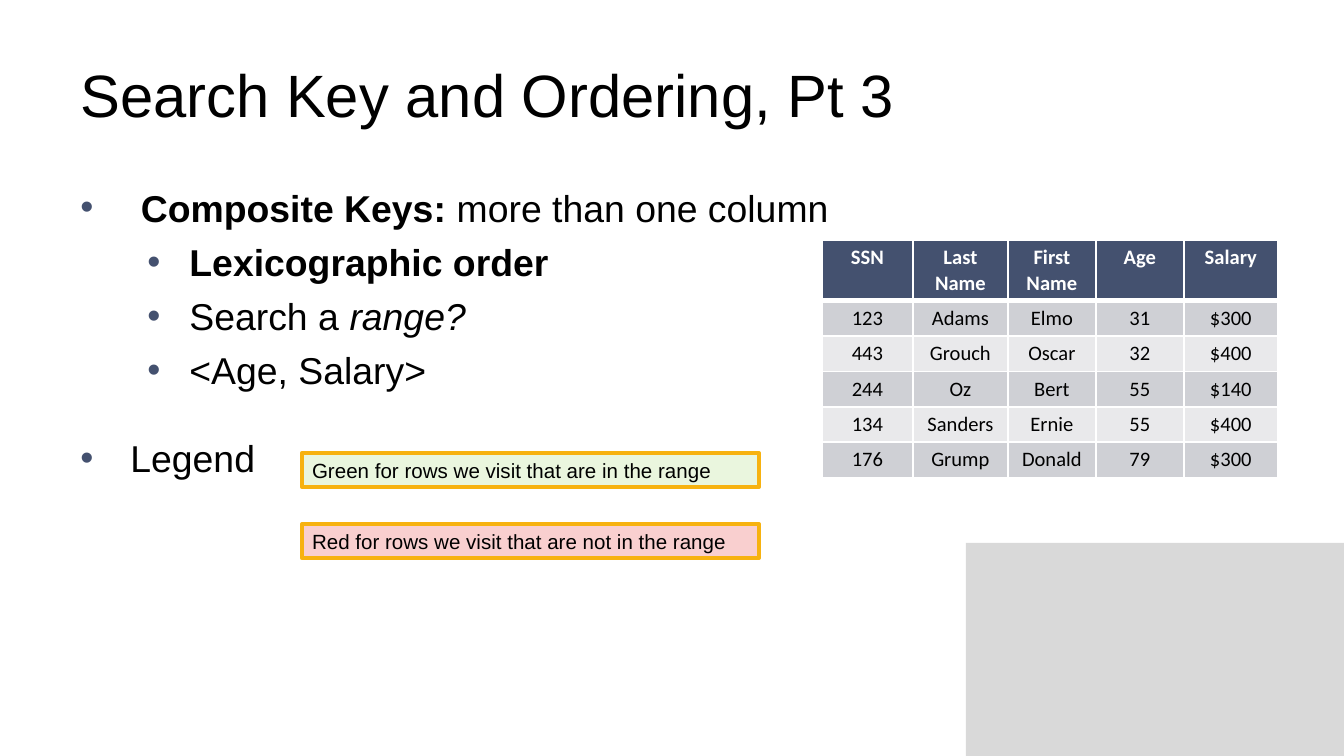
from dataclasses import dataclass

from lxml.etree import SubElement
from pptx import Presentation
from pptx.dml.color import RGBColor
from pptx.enum.shapes import MSO_SHAPE
from pptx.enum.text import MSO_ANCHOR, MSO_AUTO_SIZE, PP_ALIGN
from pptx.oxml.ns import qn
from pptx.util import Emu, Pt

EMU_PER_PX = 6804

BLACK = RGBColor(0x00, 0x00, 0x00)
WHITE = RGBColor(0xFF, 0xFF, 0xFF)
NAVY = RGBColor(0x44, 0x51, 0x6F)
PANEL_GRAY = RGBColor(0xD9, 0xD9, 0xD9)
BAND_DARK = RGBColor(0xCF, 0xD0, 0xD5)
BAND_LIGHT = RGBColor(0xE9, 0xE9, 0xEB)
AMBER = RGBColor(0xF7, 0xB2, 0x10)
GREEN = RGBColor(0x92, 0xD0, 0x50)
RED = RGBColor(0xE2, 0x00, 0x00)


@dataclass(frozen=True)
class TextRun:
    text: str
    bold: bool = False
    italic: bool = False


@dataclass(frozen=True)
class Bullet:
    runs: tuple[TextRun, ...]
    level: int = 0
    space_before: float = 5


@dataclass(frozen=True)
class LegendEntry:
    text: str
    color: RGBColor


BULLETS = (
    Bullet((TextRun(" "), TextRun("Composite Keys: ", bold=True),
            TextRun("more than one column")), space_before=0),
    Bullet((TextRun("Lexicographic order", bold=True),), level=1),
    Bullet((TextRun("Search a "), TextRun("range?", italic=True)), level=1),
    Bullet((TextRun("<Age, Salary>"),), level=1),
    Bullet((TextRun("Legend"),), space_before=23.3),
)
BULLET_INDENTS = ((50, -50), (109, -42))

LEGEND = (
    LegendEntry("Green for rows we visit that are in the range", GREEN),
    LegendEntry("Red for rows we visit that are not in the range", RED),
)
LEGEND_TOP, LEGEND_PITCH = 453, 71

COLUMN_WIDTHS = (91, 95, 88, 88, 94)
HEADER_HEIGHT, ROW_HEIGHT = 60, 35
ROWS = (
    ("SSN", "Last Name", "First Name", "Age", "Salary"),
    ("123", "Adams", "Elmo", "31", "$300"),
    ("443", "Grouch", "Oscar", "32", "$400"),
    ("244", "Oz", "Bert", "55", "$140"),
    ("134", "Sanders", "Ernie", "55", "$400"),
    ("176", "Grump", "Donald", "79", "$300"),
)


def px(value: int) -> Emu:
    return Emu(value * EMU_PER_PX)


def place(shape, left: int, top: int, width: int, height: int) -> None:
    shape.left, shape.top = px(left), px(top)
    shape.width, shape.height = px(width), px(height)


def add_run(paragraph, run: TextRun, size: int, font_name: str = "Arial",
            color: RGBColor = BLACK) -> None:
    text_run = paragraph.add_run()
    text_run.text = run.text
    font = text_run.font
    font.name, font.size = font_name, Pt(size)
    font.bold, font.italic = run.bold, run.italic
    font.color.rgb = color


def set_insets(target) -> None:
    """Give a text frame or table cell the tight margins used on this slide."""
    target.margin_left = target.margin_right = px(10)
    target.margin_top = target.margin_bottom = px(5)


def add_rectangle(slide, left: int, top: int, width: int, height: int, color: RGBColor):
    shape = slide.shapes.add_shape(
        MSO_SHAPE.RECTANGLE, px(left), px(top), px(width), px(height))
    shape.shadow.inherit = False
    shape.fill.solid()
    shape.fill.fore_color.rgb = color
    shape.line.fill.background()
    return shape


def add_corner_panel(slide) -> None:
    """Add the gray corner panel behind everything else."""
    panel = add_rectangle(slide, 966, 543, 378, 213, PANEL_GRAY)
    slide.shapes._spTree.insert(2, panel._element)


def fill_title(title) -> None:
    place(title, 67, 31, 1210, 126)
    title.text_frame.auto_size = MSO_AUTO_SIZE.NONE
    title.text_frame.vertical_anchor = MSO_ANCHOR.MIDDLE
    paragraph = title.text_frame.paragraphs[0]
    paragraph.alignment = PP_ALIGN.LEFT
    add_run(paragraph, TextRun("Search Key and Ordering, Pt 3"), 32)


def format_bullet(paragraph, bullet: Bullet) -> None:
    paragraph.level = bullet.level
    paragraph.space_before = Pt(bullet.space_before)
    margin, indent = BULLET_INDENTS[bullet.level]
    properties = paragraph._p.get_or_add_pPr()
    properties.set("marL", str(px(margin)))
    properties.set("indent", str(px(indent)))
    bullet_color = SubElement(properties, qn("a:buClr"))
    SubElement(bullet_color, qn("a:srgbClr"), val=str(NAVY))
    SubElement(properties, qn("a:buFont"), typeface="Arial")
    SubElement(properties, qn("a:buChar"), char="•")


def fill_body(body) -> None:
    place(body, 67, 178, 1210, 499)
    frame = body.text_frame
    frame.auto_size = MSO_AUTO_SIZE.NONE
    for index, bullet in enumerate(BULLETS):
        paragraph = frame.add_paragraph() if index else frame.paragraphs[0]
        format_bullet(paragraph, bullet)
        for run in bullet.runs:
            add_run(paragraph, run, 20)


def add_legend_box(slide, entry: LegendEntry, top: int) -> None:
    box = add_rectangle(slide, 302, top, 457, 34, entry.color)
    color_element = box._element.spPr.find(qn("a:solidFill"))[0]
    SubElement(color_element, qn("a:alpha"), val="19000")
    box.line.color.rgb = AMBER
    box.line.width = Pt(2.25)
    frame = box.text_frame
    set_insets(frame)
    frame.word_wrap = True
    frame.vertical_anchor = MSO_ANCHOR.TOP
    paragraph = frame.paragraphs[0]
    paragraph.alignment = PP_ALIGN.LEFT
    add_run(paragraph, TextRun(entry.text), 11)


def add_borders(cell, row_index: int) -> None:
    """Draw white borders, with a thicker rule under the header row."""
    thick_side = {0: "a:lnB", 1: "a:lnT"}.get(row_index)
    properties = cell._tc.get_or_add_tcPr()
    for side in ("a:lnL", "a:lnR", "a:lnT", "a:lnB"):
        width = Pt(3 if side == thick_side else 1)
        line = SubElement(properties, qn(side), w=str(width))
        fill = SubElement(line, qn("a:solidFill"))
        SubElement(fill, qn("a:srgbClr"), val=str(WHITE))


def fill_cell(cell, text: str, row_index: int) -> None:
    is_header = row_index == 0
    add_borders(cell, row_index)
    cell.fill.solid()
    band = BAND_DARK if row_index % 2 else BAND_LIGHT
    cell.fill.fore_color.rgb = NAVY if is_header else band
    set_insets(cell)
    paragraph = cell.text_frame.paragraphs[0]
    paragraph.alignment = PP_ALIGN.CENTER
    add_run(paragraph, TextRun(text, bold=is_header), 11, "Calibri",
            WHITE if is_header else BLACK)


def add_people_table(slide) -> None:
    height = HEADER_HEIGHT + ROW_HEIGHT * (len(ROWS) - 1)
    table = slide.shapes.add_table(
        len(ROWS), len(COLUMN_WIDTHS), px(822), px(240),
        px(sum(COLUMN_WIDTHS)), px(height)).table
    for column, width in zip(table.columns, COLUMN_WIDTHS):
        column.width = px(width)
    for row_index, values in enumerate(ROWS):
        table.rows[row_index].height = px(ROW_HEIGHT if row_index else HEADER_HEIGHT)
        for column_index, text in enumerate(values):
            fill_cell(table.cell(row_index, column_index), text, row_index)


def main() -> None:
    presentation = Presentation()
    presentation.slide_width, presentation.slide_height = px(1344), px(756)
    slide = presentation.slides.add_slide(presentation.slide_layouts[1])
    add_corner_panel(slide)
    fill_title(slide.shapes.title)
    fill_body(slide.placeholders[1])
    for index, entry in enumerate(LEGEND):
        add_legend_box(slide, entry, LEGEND_TOP + index * LEGEND_PITCH)
    add_people_table(slide)
    presentation.save("out.pptx")


if __name__ == "__main__":
    main()
